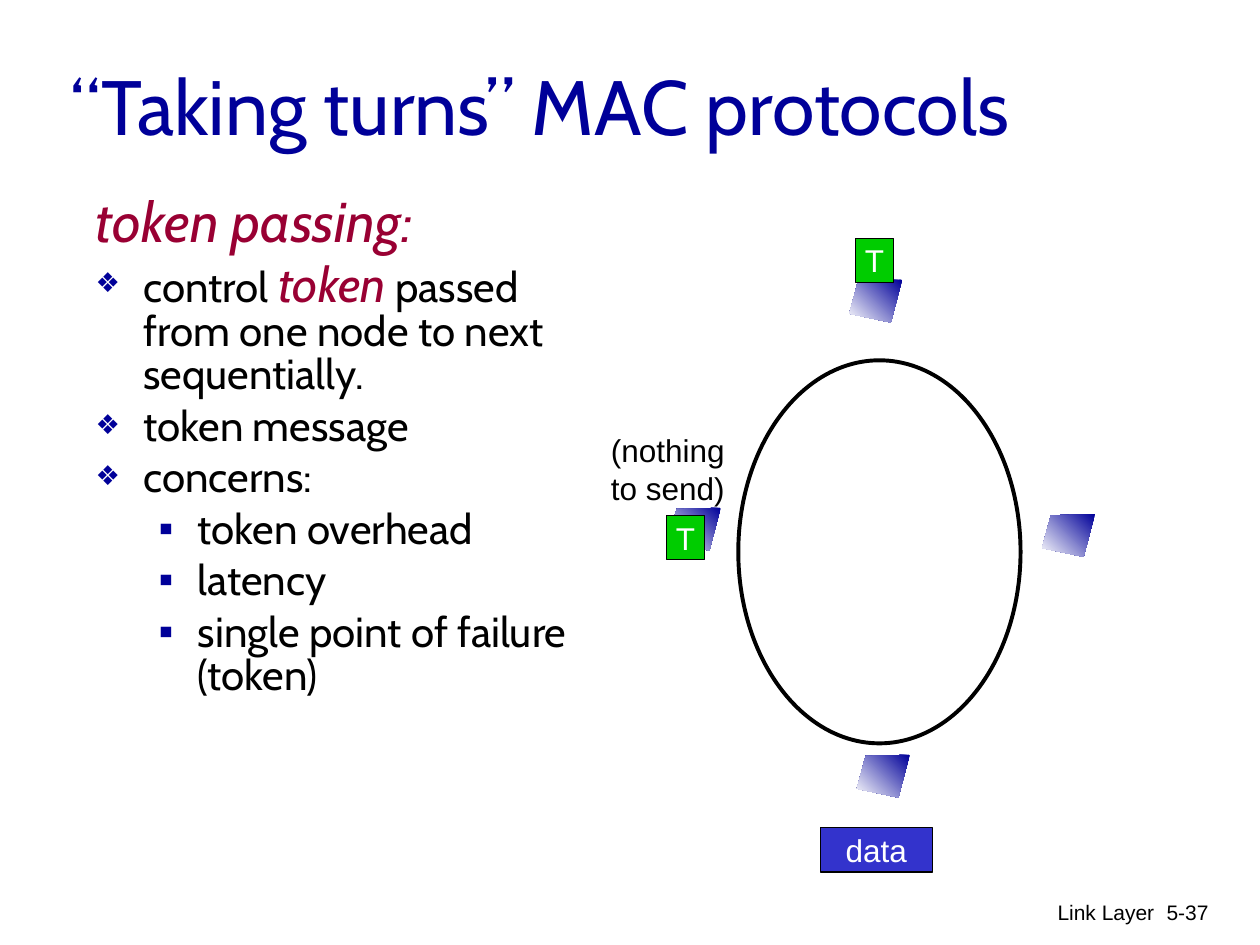
from lxml import etree
from pptx import Presentation
from pptx.dml.color import RGBColor
from pptx.enum.shapes import MSO_SHAPE
from pptx.enum.text import MSO_ANCHOR, MSO_AUTO_SIZE, PP_ALIGN
from pptx.oxml.ns import qn
from pptx.util import Inches, Pt

RECTANGLE, OVAL = MSO_SHAPE.RECTANGLE, MSO_SHAPE.OVAL
TOP, MIDDLE = MSO_ANCHOR.TOP, MSO_ANCHOR.MIDDLE
LEFT, CENTER, RIGHT = PP_ALIGN.LEFT, PP_ALIGN.CENTER, PP_ALIGN.RIGHT
NO_AUTOFIT = MSO_AUTO_SIZE.NONE

NAVY = RGBColor(0x00, 0x00, 0x99)
CRIMSON = RGBColor(0x99, 0x00, 0x33)
GREEN = RGBColor(0x00, 0xCC, 0x00)
BLUE = RGBColor(0x33, 0x33, 0xCC)
BLACK = RGBColor(0x00, 0x00, 0x00)
WHITE = RGBColor(0xFF, 0xFF, 0xFF)


def format_text(text_frame, size, color, alignment, font_name="Arial"):
    for paragraph in text_frame.paragraphs:
        paragraph.alignment = alignment
        for run in paragraph.runs:
            run.font.name = font_name
            run.font.size = Pt(size)
            run.font.color.rgb = color


def set_bullet(paragraph, character, size_percent, margin, indent):
    properties = paragraph._p.get_or_add_pPr()
    properties.set("marL", str(Inches(margin)))
    properties.set("indent", str(Inches(indent)))
    if character is None:
        etree.SubElement(properties, qn("a:buNone"))
        return
    color = etree.SubElement(properties, qn("a:buClr"))
    etree.SubElement(color, qn("a:srgbClr")).set("val", str(NAVY))
    etree.SubElement(properties, qn("a:buSzPct")).set("val", str(size_percent * 1000))
    etree.SubElement(properties, qn("a:buFont")).set("typeface", "Arial")
    etree.SubElement(properties, qn("a:buChar")).set("char", character)


presentation = Presentation()
presentation.slide_width = Inches(10)
presentation.slide_height = Inches(7.5)
slide = presentation.slides.add_slide(presentation.slide_layouts[1])
shapes = slide.shapes

# Title
title = shapes.title
title.left, title.top = Inches(0.46), Inches(0.21)
title.width, title.height = Inches(8.5), Inches(1.25)
title.text_frame.text = "“Taking turns” MAC protocols"
title.text_frame.auto_size = NO_AUTOFIT
title.text_frame.vertical_anchor = MIDDLE
format_text(title.text_frame, 44, NAVY, LEFT, "Cabin")

# Token passing list: level (None for the heading) and the text runs
items = [
    (None, ["token passing:"]),
    (0, ["control ", "token", " passed from one node to next sequentially."]),
    (0, ["token message"]),
    (0, ["concerns:"]),
    (1, ["token overhead"]),
    (1, ["latency"]),
    (1, ["single point of failure (token)"]),
]
bullets = {
    None: (None, 100, 0.38, -0.38),
    0: ("❖", 65, 0.38, -0.38),
    1: ("▪", 100, 0.81, -0.31),
}
body = slide.placeholders[1]
body.left, body.top = Inches(0.66), Inches(1.51)
body.width, body.height = Inches(4.11), Inches(5.08)
body_frame = body.text_frame
body_frame.auto_size = NO_AUTOFIT
body_frame.vertical_anchor = TOP
for index, (level, texts) in enumerate(items):
    paragraph = body_frame.paragraphs[0] if index == 0 else body_frame.add_paragraph()
    paragraph.level = level or 0
    set_bullet(paragraph, *bullets[level])
    paragraph.line_spacing = 0.85
    paragraph.space_before = Pt(5 if index else 0)
    for text in texts:
        paragraph.add_run().text = text
format_text(body_frame, 24, BLACK, LEFT, "Cabin")
heading_run = body_frame.paragraphs[0].runs[0]
token_run = body_frame.paragraphs[1].runs[1]
for run, size in [(heading_run, 32), (token_run, 28)]:
    run.font.size = Pt(size)
    run.font.italic = True
    run.font.color.rgb = CRIMSON

# Node markers around the ring
marker_outline = [(0.42, 0), (0.07, 0.01), (0, 0.27), (0.33, 0.34)]
for left, top in [(8.27, 4.08), (5.3, 4.03), (6.74, 2.22), (6.8, 5.99)]:
    corners = [(Inches(left + x), Inches(top + y)) for x, y in marker_outline]
    builder = shapes.build_freeform(*corners[0])
    builder.add_line_segments(corners[1:], close=True)
    marker = builder.convert_to_shape()
    marker.shadow.inherit = False
    marker.line.fill.background()
    marker.fill.gradient()
    marker.fill.gradient_angle = 225
    for stop, position, color in zip(marker.fill.gradient_stops, (0, 1), (NAVY, WHITE)):
        stop.position = position
        stop.color.rgb = color

# Ring
ring = shapes.add_shape(OVAL, Inches(5.86), Inches(2.86), Inches(2.24), Inches(3.04))
ring.shadow.inherit = False
ring.fill.background()
ring.line.color.rgb = BLACK
ring.line.width = Pt(2.25)

# Tokens and data frame
for text, left, top, width, color in [
    ("T", 6.79, 1.89, 0.3, GREEN),
    ("data", 6.51, 6.57, 0.89, BLUE),
    ("T", 5.29, 4.09, 0.3, GREEN),
]:
    box = shapes.add_shape(RECTANGLE, Inches(left), Inches(top), Inches(width), Inches(0.35))
    box.shadow.inherit = False
    box.fill.solid()
    box.fill.fore_color.rgb = color
    box.line.color.rgb = BLACK
    box.line.width = Pt(0.75)
    box.text_frame.text = text
    box.text_frame.word_wrap = False
    box.text_frame.vertical_anchor = MIDDLE
    format_text(box.text_frame, 18, WHITE, CENTER)

# Ring note, footer and slide number
for text, left, top, width, height, size, alignment in [
    ("(nothing\nto send)", 4.75, 3.37, 1.1, 0.7, 18, LEFT),
    ("Link Layer", 6.09, 7.09, 3.17, 0.5, 12, RIGHT),
    ("5-37", 8.95, 7.09, 0.74, 0.5, 12, RIGHT),
]:
    label = shapes.add_textbox(Inches(left), Inches(top), Inches(width), Inches(height))
    label.text_frame.text = text
    label.text_frame.word_wrap = size == 12
    format_text(label.text_frame, size, BLACK, alignment)

presentation.save("out.pptx")
